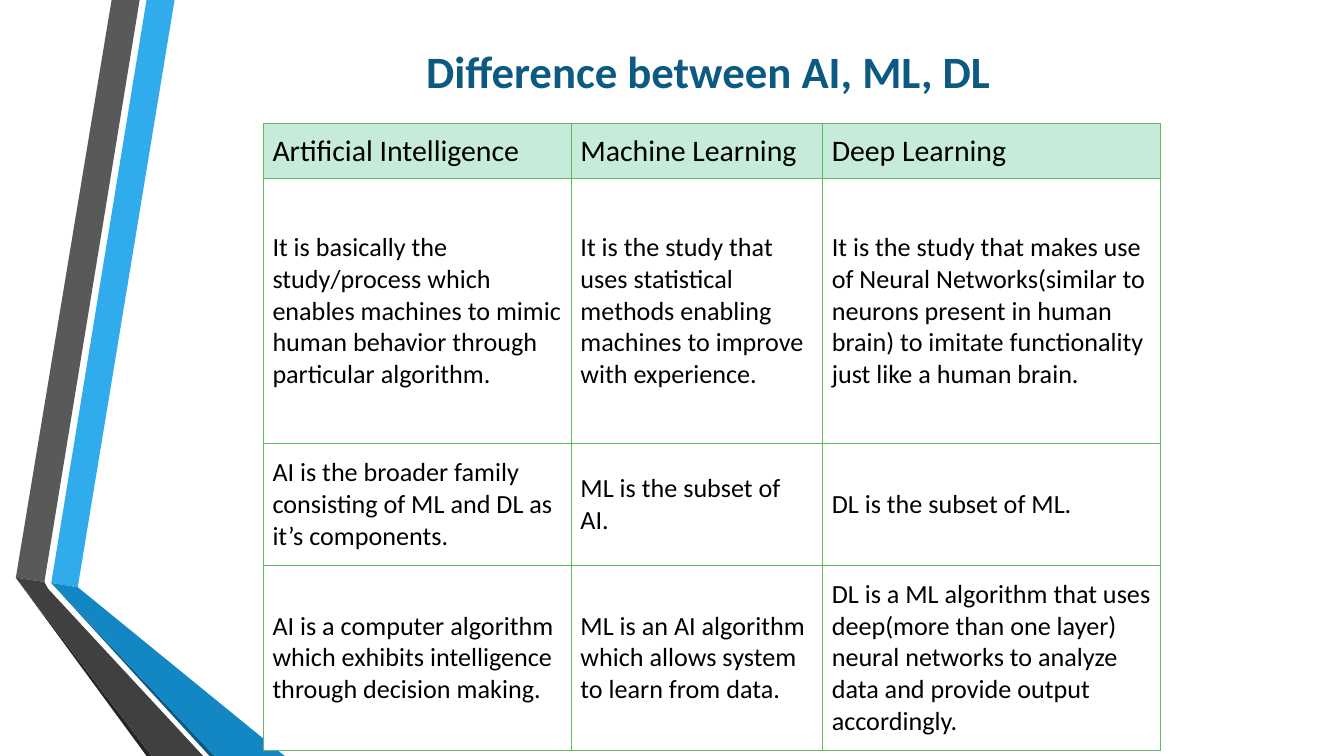
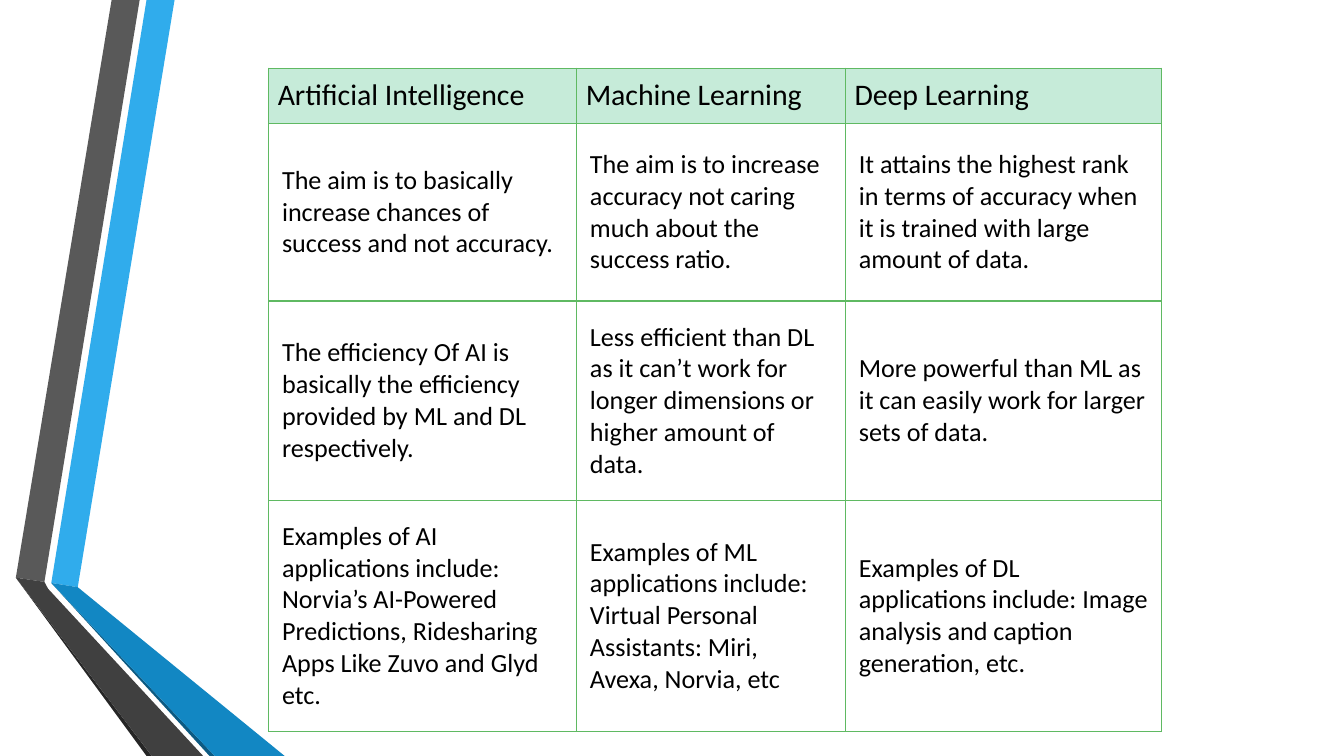
from lxml import etree
from pptx import Presentation
from pptx.dml.color import RGBColor
from pptx.enum import text
from pptx.oxml import parse_xml
from pptx.oxml.ns import nsdecls
from pptx.util import Cm, Pt

FONT = "Calibri"
BLACK, WHITE, MINT, GREEN, NAVY = "000000", "FFFFFF", "C6EBD9", "5FB962", "0C5A82"
TITLE = "Difference between AI, ML, DL"
TITLE_BOX = dict(left=7.8, top=0.69, width=11.79, height=1.27)
HEADINGS = ("Artificial Intelligence", "Machine Learning", "Deep Learning")
TITLE_FONT = dict(name=FONT, size=Pt(24), bold=True)
HEADING_FONT = dict(name=FONT, size=Pt(16), bold=False)
BODY_FONT = dict(name=FONT, size=Pt(14), bold=False)

# Side ribbons, in cm: the corners that neighbouring pieces share are named
BOTTOM = 14.29
GREY_LEFT, GREY_RIGHT = (0.3, 10.92), (0.84, 11)
BLUE_LEFT, BLUE_RIGHT = (0.97, 11.02), (1.47, 11.1)
RIBBONS = [
    ("30ACEC", [BLUE_LEFT, BLUE_RIGHT, (3.3, 0), (2.77, 0)]),
    ("595959", [(2.64, 0), (2.11, 0), GREY_LEFT, GREY_RIGHT]),
    ("262626", [GREY_LEFT, (2.77, BOTTOM), (2.87, BOTTOM)]),
    (NAVY, [BLUE_LEFT, (3.96, BOTTOM), (4.06, BOTTOM)]),
    ("1287C3", [BLUE_LEFT, (4.06, BOTTOM), (5.38, BOTTOM), BLUE_RIGHT]),
    ("404040", [(3.84, BOTTOM), (0.91, 11.13), GREY_RIGHT, GREY_LEFT, (2.87, BOTTOM)]),
]

DEFINITIONS = dict(
    corner=(4.98, 2.34),
    widths=(5.82, 4.75, 6.38),
    heights=(1.04, 5, 2.27, 3.46),
    insets=(0.17, 0.25),
    rows=[
        ("It is basically the study/process which enables machines to mimic human "
         "behavior through particular algorithm.",
         "It is the study that uses statistical methods enabling machines to improve "
         "with experience.",
         "It is the study that makes use of Neural Networks(similar to neurons present "
         "in human brain) to imitate functionality just like a human brain."),
        ("AI is the broader family consisting of ML and DL as it’s components.",
         "ML is the subset of AI.",
         "DL is the subset of ML."),
        ("AI is a computer algorithm which exhibits intelligence through decision making.",
         "ML is an AI algorithm which allows system to learn from data.",
         "DL is a ML algorithm that uses deep(more than one layer) neural networks to "
         "analyze data and provide output accordingly."),
    ],
)
AIMS = dict(
    corner=(5.08, 1.29),
    widths=(5.82, 5.08, 5.97),
    heights=(1.04, 3.36, 3.71, 4.3),
    insets=(0.25, 0.38),
    rows=[
        ("The aim is to basically increase chances of success and not accuracy.",
         "The aim is to increase accuracy not caring much about the success ratio.",
         "It attains the highest rank in terms of accuracy when it is trained with "
         "large amount of data."),
        ("The efficiency Of AI is basically the efficiency provided by ML and DL "
         "respectively.",
         "Less efficient than DL as it can’t work for longer dimensions or higher "
         "amount of data.",
         "More powerful than ML as it can easily work for larger sets of data."),
        ("Examples of AI applications include: Norvia’s AI-Powered Predictions, "
         "Ridesharing Apps Like Zuvo and Glyd etc.",
         "Examples of ML applications include: Virtual Personal Assistants: Miri, "
         "Avexa, Norvia, etc",
         "Examples of DL applications include: Image analysis and caption generation, "
         "etc."),
    ],
)


def paint(fill_or_font, color):
    """Give a solid fill or a font its hex colour."""
    if hasattr(fill_or_font, "solid"):
        fill_or_font.solid()
        target = fill_or_font.fore_color
    else:
        target = fill_or_font.color
    target.rgb = RGBColor.from_string(color)


def set_all(target, values):
    for name, value in values.items():
        setattr(target, name, value)


def write(frame, words, font, color):
    para = frame.paragraphs[0]
    para.alignment = text.PP_ALIGN.LEFT
    span = para.add_run()
    span.text = words
    set_all(span.font, font)
    paint(span.font, color)


def add_ribbons(page, master):
    """Draw the ribbons on a page, then move them to the master all pages share."""
    for number, (color, corners) in enumerate(RIBBONS, start=20):
        points = [(Cm(x), Cm(y)) for x, y in corners]
        builder = page.shapes.build_freeform(*points[0])
        builder.add_line_segments(points[1:], close=True)
        ribbon = builder.convert_to_shape()
        ribbon.shadow.inherit = False
        paint(ribbon.fill, color)
        ribbon.line.fill.background()
        ribbon.element.nvSpPr.cNvPr.id = number
        master.shapes.element.append(ribbon.element)


def add_borders(cell):
    properties = cell._tc.get_or_add_tcPr()
    for side in "LRTB":
        line = parse_xml(f'<a:ln{side} {nsdecls("a")} w="{Pt(0.75)}"><a:solidFill>'
                         f'<a:srgbClr val="{GREEN}"/></a:solidFill></a:ln{side}>')
        properties.append(line)


def add_comparison(page, corner, widths, heights, insets, rows):
    left, top = map(Cm, corner)
    table = page.shapes.add_table(len(heights), len(widths), left, top,
                                  Cm(sum(widths)), Cm(sum(heights))).table
    set_all(table, dict(horz_banding=False))
    for column, width in zip(table.columns, widths):
        column.width = Cm(width)
    for row, height in zip(table.rows, heights):
        row.height = Cm(height)
    for r, words in enumerate([HEADINGS, *rows]):
        heading = r == 0
        side, end = (0.17, 0.17) if heading else insets
        for c, entry in enumerate(words):
            cell = table.cell(r, c)
            set_all(cell, dict(margin_left=Cm(side), margin_right=Cm(side),
                               margin_top=Cm(end), margin_bottom=Cm(end),
                               vertical_anchor=text.MSO_ANCHOR.MIDDLE))
            add_borders(cell)
            paint(cell.fill, MINT if heading else WHITE)
            write(cell.text_frame, entry, HEADING_FONT if heading else BODY_FONT, BLACK)


def add_title(page):
    box = page.shapes.title
    set_all(box, {name: Cm(value) for name, value in TITLE_BOX.items()})
    set_all(box.text_frame, dict(word_wrap=True, auto_size=text.MSO_AUTO_SIZE.NONE,
                                 vertical_anchor=text.MSO_ANCHOR.MIDDLE))
    write(box.text_frame, TITLE, TITLE_FONT, NAVY)


def main():
    deck = Presentation()
    set_all(deck, dict(slide_width=Cm(25.4), slide_height=Cm(BOTTOM)))
    title_only, blank = deck.slide_layouts[5], deck.slide_layouts[6]

    page = deck.slides.add_slide(title_only)
    add_ribbons(page, deck.slide_master)
    add_title(page)
    add_comparison(page, **DEFINITIONS)

    add_comparison(deck.slides.add_slide(blank), **AIMS)
    deck.save("out.pptx")


if __name__ == "__main__":
    main()
